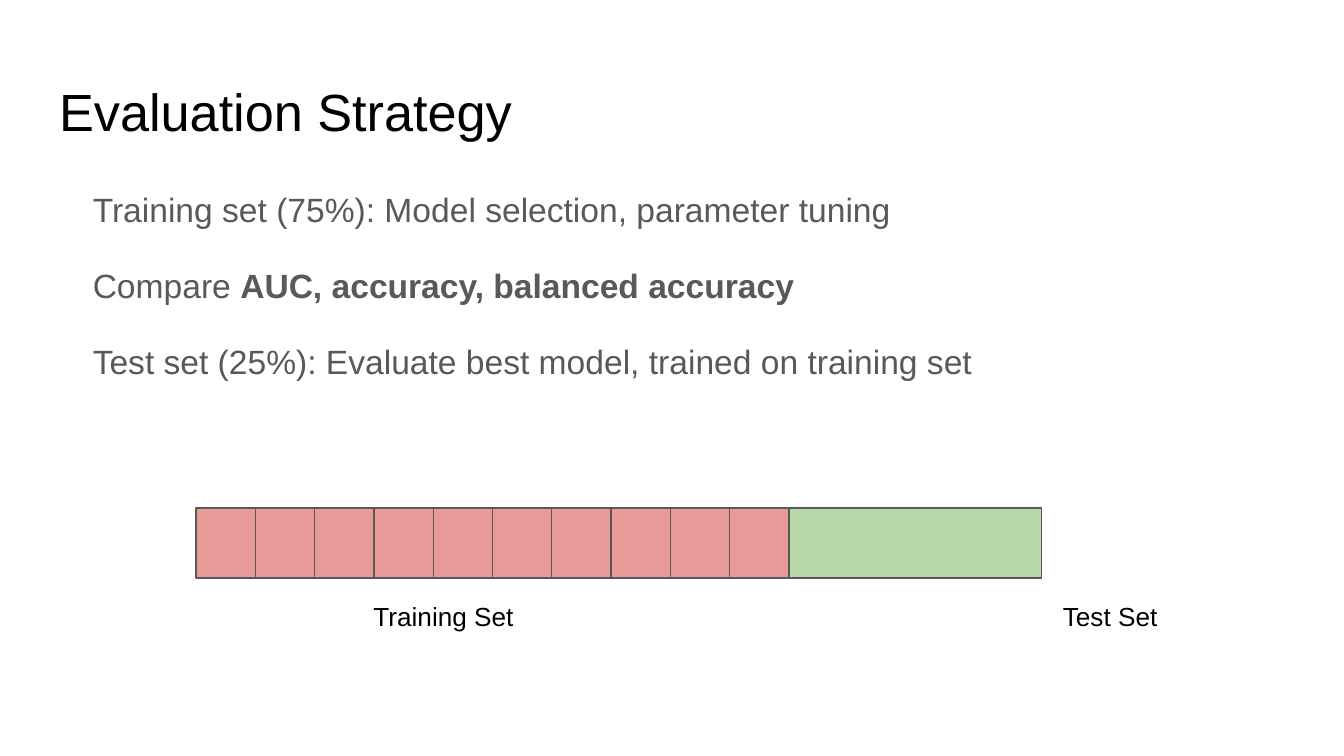
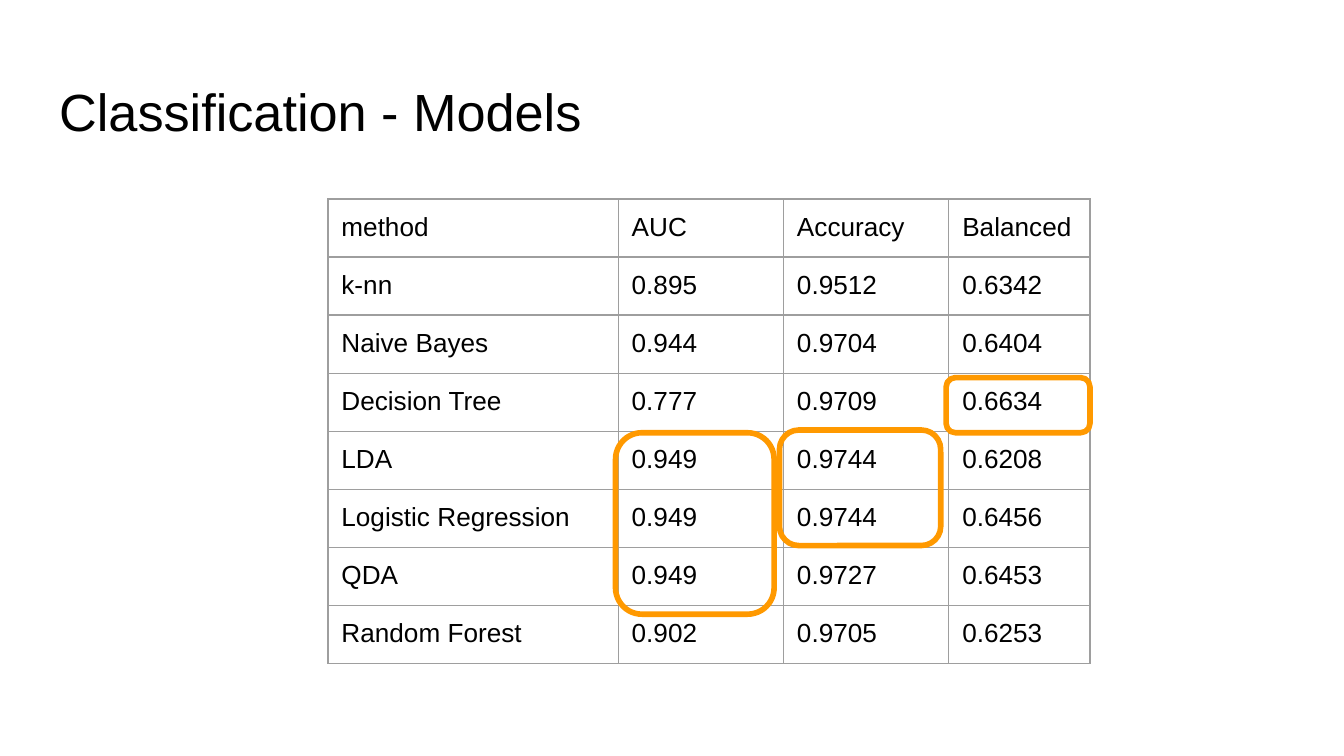
from lxml.etree import SubElement
from pptx import Presentation
from pptx.dml.color import RGBColor
from pptx.enum.shapes import MSO_SHAPE
from pptx.enum.text import MSO_ANCHOR, MSO_AUTO_SIZE, PP_ALIGN
from pptx.oxml.ns import qn
from pptx.util import Inches, Pt

BLACK = RGBColor(0x00, 0x00, 0x00)
GREY = RGBColor(0x59, 0x59, 0x59)
GRID_GREY = RGBColor(0x9E, 0x9E, 0x9E)
RED = RGBColor(0xEA, 0x99, 0x99)
GREEN = RGBColor(0xB6, 0xD7, 0xA8)
ORANGE = RGBColor(0xFF, 0x99, 0x00)
FONT = "Arial"
PADDING = 0.1

SLIDE_WIDTH = 10
SLIDE_HEIGHT = SLIDE_WIDTH * 9 / 16
TITLE_BOX = (0.34, 0.49, 9.32, 0.63)
BODY_BOX = (0.34, 1.26, 9.32, 3.74)
LABEL_BOX = (2.68, 4.37, 9.04, 0.38)
TEST_LABEL_TAB = 5.13

STRATEGY = [
    [("Training set (75%): Model selection, parameter tuning", False)],
    [("Compare ", False), ("AUC, accuracy, balanced accuracy", True)],
    [("Test set (25%): Evaluate best model, trained on training set", False)],
]
SET_LABELS = ["Training Set", "Test Set"]
BAR_BOX = (1.46, 3.78, 6.29, 0.52)
TRAINING_WIDTH = 4.41
FOLDS = 10

MODELS = [
    ("method", "AUC", "Accuracy", "Balanced"),
    ("k-nn", "0.895", "0.9512", "0.6342"),
    ("Naive Bayes", "0.944", "0.9704", "0.6404"),
    ("Decision Tree", "0.777", "0.9709", "0.6634"),
    ("LDA", "0.949", "0.9744", "0.6208"),
    ("Logistic Regression", "0.949", "0.9744", "0.6456"),
    ("QDA", "0.949", "0.9727", "0.6453"),
    ("Random Forest", "0.902", "0.9705", "0.6253"),
]
TABLE_CORNER = (2.44, 1.48)
COLUMN_WIDTHS = (2.16, 1.23, 1.23, 1.05)
TABLE_HEIGHT = 3.46
BEST_SCORES = {
    "Balanced": (7.04, 2.81, 1.07, 0.41),
    "Accuracy": (5.8, 3.2, 1.2, 0.86),
    "AUC": (4.58, 3.22, 1.18, 1.35),
}


def inches(lengths):
    return [Inches(length) for length in lengths]


def style_run(run, size, color, bold=False):
    run.font.name = FONT
    run.font.size = Pt(size)
    run.font.color.rgb = color
    run.font.bold = bold


def pad(holder):
    for side in ("left", "top", "right", "bottom"):
        setattr(holder, f"margin_{side}", Inches(PADDING))
    holder.vertical_anchor = MSO_ANCHOR.TOP


def prepare_frame(frame):
    pad(frame)
    frame.word_wrap = True
    frame.auto_size = MSO_AUTO_SIZE.NONE


def place(shape, box):
    shape.left, shape.top, shape.width, shape.height = inches(box)
    prepare_frame(shape.text_frame)


def add_titled_slide(deck, layout, title):
    slide = deck.slides.add_slide(deck.slide_layouts[layout])
    place(slide.shapes.title, TITLE_BOX)
    slide.shapes.title.text_frame.text = title
    heading = slide.shapes.title.text_frame.paragraphs[0]
    heading.alignment = PP_ALIGN.LEFT
    style_run(heading.runs[0], 28, BLACK)
    return slide


def add_outlined(slide, kind, box, line, weight, fill=None):
    shape = slide.shapes.add_shape(kind, *inches(box))
    shape.shadow.inherit = False
    if fill is None:
        shape.fill.background()
    else:
        shape.fill.solid()
        shape.fill.fore_color.rgb = fill
    shape.line.color.rgb = line
    shape.line.width = Pt(weight)
    return shape


def fill_body(body):
    place(body, BODY_BOX)
    frame = body.text_frame
    for index, parts in enumerate(STRATEGY):
        paragraph = frame.paragraphs[0] if index == 0 else frame.add_paragraph()
        paragraph.line_spacing = 1.15
        paragraph.space_before = Pt(0)
        paragraph.space_after = Pt(16)
        properties = paragraph._p.get_or_add_pPr()
        properties.set("marL", str(Inches(0.5)))
        properties.set("indent", str(Inches(-0.25)))
        SubElement(properties, qn("a:buNone"))
        for text, bold in parts:
            run = paragraph.add_run()
            run.text = text
            style_run(run, 18, GREY, bold)


def add_split_bar(slide):
    left, top, width, height = BAR_BOX
    add_outlined(slide, MSO_SHAPE.RECTANGLE, BAR_BOX, GREY, 0.75, GREEN)
    fold_width = TRAINING_WIDTH / FOLDS
    for fold in range(FOLDS):
        box = (left + fold * fold_width, top, fold_width, height)
        add_outlined(slide, MSO_SHAPE.RECTANGLE, box, GREY, 0.75, RED)


def add_set_labels(slide):
    frame = slide.shapes.add_textbox(*inches(LABEL_BOX)).text_frame
    prepare_frame(frame)
    frame.text = "\t".join(SET_LABELS)
    labels = frame.paragraphs[0]
    stops = SubElement(labels._p.get_or_add_pPr(), qn("a:tabLst"))
    SubElement(stops, qn("a:tab"), pos=str(Inches(TEST_LABEL_TAB)), algn="l")
    style_run(labels.runs[0], 14, BLACK)


def add_borders(cell):
    properties = cell._tc.get_or_add_tcPr()
    for side in ("lnL", "lnR", "lnT", "lnB"):
        border = SubElement(properties, qn(f"a:{side}"), w=str(Pt(0.75)))
        fill = SubElement(border, qn("a:solidFill"))
        SubElement(fill, qn("a:srgbClr"), val=str(GRID_GREY))


def add_model_table(slide):
    size = (sum(COLUMN_WIDTHS), TABLE_HEIGHT)
    table = slide.shapes.add_table(
        len(MODELS), len(COLUMN_WIDTHS), *inches(TABLE_CORNER + size)
    ).table
    table.first_row = table.horz_banding = False
    for column, width in zip(table.columns, COLUMN_WIDTHS):
        column.width = Inches(width)
    for row, scores in zip(table.rows, MODELS):
        row.height = Inches(TABLE_HEIGHT / len(MODELS))
        for cell, score in zip(row.cells, scores):
            cell.text_frame.text = score
            style_run(cell.text_frame.paragraphs[0].runs[0], 14, BLACK)
            pad(cell)
            add_borders(cell)
            cell.fill.background()


def main():
    deck = Presentation()
    deck.slide_width, deck.slide_height = inches((SLIDE_WIDTH, SLIDE_HEIGHT))

    strategy = add_titled_slide(deck, 1, "Evaluation Strategy")
    fill_body(strategy.placeholders[1])
    add_split_bar(strategy)
    add_set_labels(strategy)

    models = add_titled_slide(deck, 5, "Classification - Models")
    add_model_table(models)
    for box in BEST_SCORES.values():
        add_outlined(models, MSO_SHAPE.ROUNDED_RECTANGLE, box, ORANGE, 3)

    deck.save("out.pptx")


if __name__ == "__main__":
    main()
